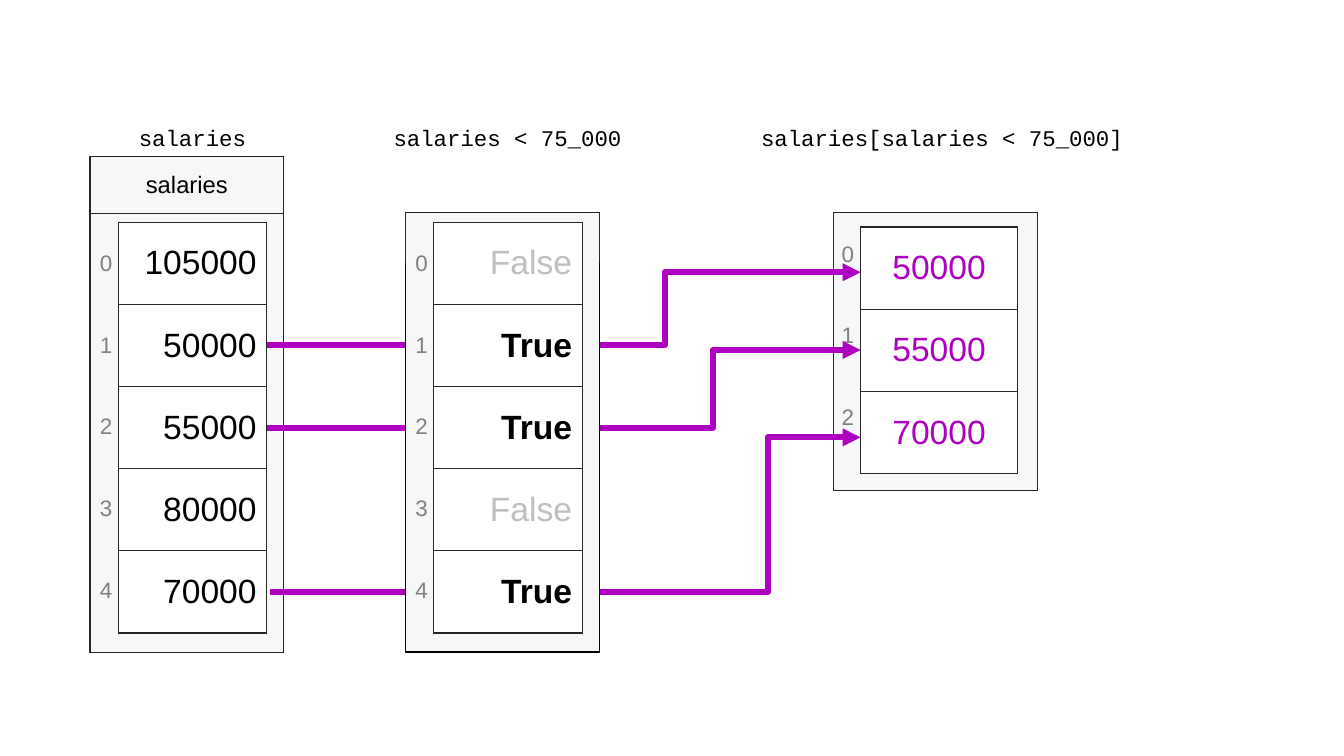
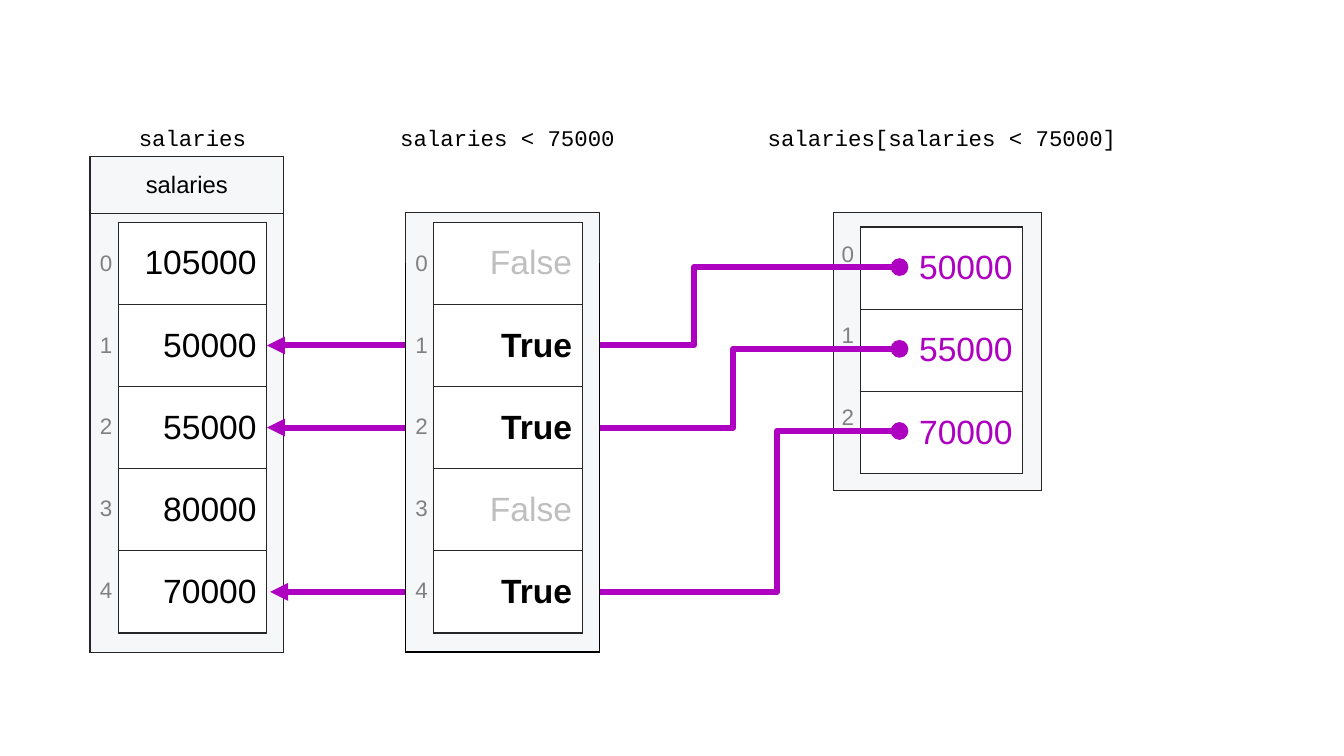
from lxml.etree import SubElement
from pptx import Presentation
from pptx.dml.color import RGBColor
from pptx.enum.shapes import MSO_CONNECTOR
from pptx.enum.text import MSO_ANCHOR, PP_ALIGN
from pptx.oxml import parse_xml
from pptx.oxml.ns import nsdecls, qn
from pptx.util import Cm, Pt

HUES = {"ink": "000000", "edge": "262626", "panel": "F6F7F9", "cell": "FFFFFF",
        "index": "808080", "faint": "BFBFBF", "pick": "AD00C0"}
SANS, MONO = "Arial", "Courier New"
RIGHT, MID = PP_ALIGN.RIGHT, PP_ALIGN.CENTER

PAY = ["105000", "50000", "55000", "80000", "70000"]
MASK = [True, False]
MASK = ["False", "True", "True", "False", "True"]
PICKS = [i for i, flag in enumerate(MASK) if flag == "True"]

# Lengths in centimetres. A wire is (start height, bend x, end x).
SLIDES = [
    {"limit": "75_000", "width": 5.14, "inner": 3.95, "align": MID,
     "start": 21.69, "head": "triangle", "tail": "none",
     "wires": [(6.86, 16.76, 6.73), (8.82, 17.97, 6.73), (11.02, 19.35, 6.81)]},
    {"limit": "75000", "width": 5.24, "inner": 4.08, "align": RIGHT,
     "start": 22.67, "head": "oval", "tail": "triangle",
     "wires": [(6.73, 17.49, 6.73), (8.79, 18.47, 6.73), (10.86, 19.58, 6.81)]},
]
LEFT, CENTRE, FAR = 2.27, 10.22, 21.01
TOP, FAR_TOP = 5.6, 5.72
ROW, STEP, INSET = 2.07, 2.06, 0.71
WIDE, INNER = 4.88, 3.74


def rgb(name):
    return RGBColor.from_string(HUES[name])


def write(frame, text, size, hue, align, font=SANS, bold=False):
    para = frame.paragraphs[0]
    para.alignment = align
    run = para.add_run()
    run.text = text
    run.font.name, run.font.size, run.font.bold = font, Pt(size), bold
    run.font.color.rgb = rgb(hue)


def label(slide, x, y, width, text, hue, align, font=SANS):
    box = slide.shapes.add_textbox(Cm(x), Cm(y), Cm(width), Cm(0.94))
    box.text_frame.word_wrap = False
    write(box.text_frame, text, 16, hue, align, font)


def border(cell, sides, hue):
    """Draw the named sides (of LRTB) and clear the others."""
    props = cell._tc.get_or_add_tcPr()
    for spot, side in enumerate("LRTB"):
        if side in sides:
            fill = f'<a:solidFill><a:srgbClr val="{HUES[hue]}"/></a:solidFill>'
        else:
            fill = "<a:noFill/>"
        props.insert(spot, parse_xml(
            f'<a:ln{side} {nsdecls("a")} w="{Pt(1)}">{fill}</a:ln{side}>'))


def grid(slide, x, y, width, heights, hue, edges=None):
    """Add a one-column table and return its cells."""
    table = slide.shapes.add_table(
        len(heights), 1, Cm(x), Cm(y), Cm(width), Cm(sum(heights))).table
    table.first_row = table.horz_banding = False
    cells = []
    for i, height in enumerate(heights):
        table.rows[i].height = Cm(height)
        cell = table.cell(i, 0)
        cell.fill.solid()
        cell.fill.fore_color.rgb = rgb(hue)
        cell.vertical_anchor = MSO_ANCHOR.MIDDLE
        border(cell, *(edges[i] if edges else ("LRTB", "edge")))
        cells.append(cell)
    return cells


def column(slide, x, y, width, items, align):
    """Fill a grid from (text, hue, bold) items."""
    cells = grid(slide, x, y, width, [ROW] * len(items), "cell")
    for cell, (text, hue, bold) in zip(cells, items):
        write(cell.text_frame, text, 24, hue, align, bold=bold)


def count(slide, x, y, total):
    for i in range(total):
        label(slide, x, y + i * STEP, 0.89, str(i), "index", PP_ALIGN.LEFT)


def wire(slide, start, end, bend, head, tail):
    line = slide.shapes.add_connector(
        MSO_CONNECTOR.ELBOW, *(Cm(v) for v in start + end))
    line.line.width = Pt(4.25)
    line.line.color.rgb = rgb("pick")
    props = line._element.spPr
    shape = props.find(qn("a:prstGeom"))
    guides = shape.find(qn("a:avLst"))
    if guides is None:
        guides = SubElement(shape, qn("a:avLst"))
    ratio = round((start[0] - bend) / (start[0] - end[0]) * 100000)
    SubElement(guides, qn("a:gd"), name="adj1", fmla=f"val {ratio}")
    ln = props.find(qn("a:ln"))
    SubElement(ln, qn("a:headEnd"), type=head)
    SubElement(ln, qn("a:tailEnd"), type=tail)
    SubElement(props, qn("a:effectLst"))


def build(slide, data):
    test = f"salaries < {data['limit']}"
    for mid, text in [(4.85, "salaries"), (12.79, test),
                      (23.74, f"salaries[{test}]")]:
        width = len(text) * 0.34 + 0.5
        label(slide, mid - width / 2, 3, width, text, "ink", MID, MONO)

    title = grid(slide, LEFT, 3.94, WIDE, [1.45, 11.05], "panel")[0]
    title.margin_left = title.margin_right = 0
    title.margin_top = title.margin_bottom = 0
    write(title.text_frame, "salaries", 17, "ink", MID)
    column(slide, LEFT + INSET, TOP, INNER,
           [(pay, "ink", False) for pay in PAY], RIGHT)
    count(slide, LEFT, TOP + 0.55, len(PAY))

    grid(slide, FAR, 5.36, data["width"], [6.99], "panel")
    column(slide, FAR + 0.68, FAR_TOP, data["inner"],
           [(PAY[i], "pick", False) for i in PICKS], data["align"])
    count(slide, FAR - 0.05, FAR_TOP + 0.2, len(PICKS))

    for i, (y, bend, stop) in zip(PICKS, data["wires"]):
        wire(slide, (data["start"], y), (stop, TOP + ROW * (i + 0.5)),
             bend, data["head"], data["tail"])

    # The mask column covers the middle of the wires.
    grid(slide, CENTRE, 5.36, WIDE, [1.27, 9.8], "panel",
         [("LRT", "edge"), ("LRB", "ink")])
    column(slide, CENTRE + INSET, TOP, INNER,
           [(flag, "ink", True) if flag == "True" else (flag, "faint", False)
            for flag in MASK], RIGHT)
    count(slide, CENTRE, TOP + 0.55, len(MASK))


def main():
    deck = Presentation()
    deck.slide_width, deck.slide_height = Cm(33.87), Cm(19.05)
    for data in SLIDES:
        build(deck.slides.add_slide(deck.slide_layouts[6]), data)
    deck.save("out.pptx")


if __name__ == "__main__":
    main()
